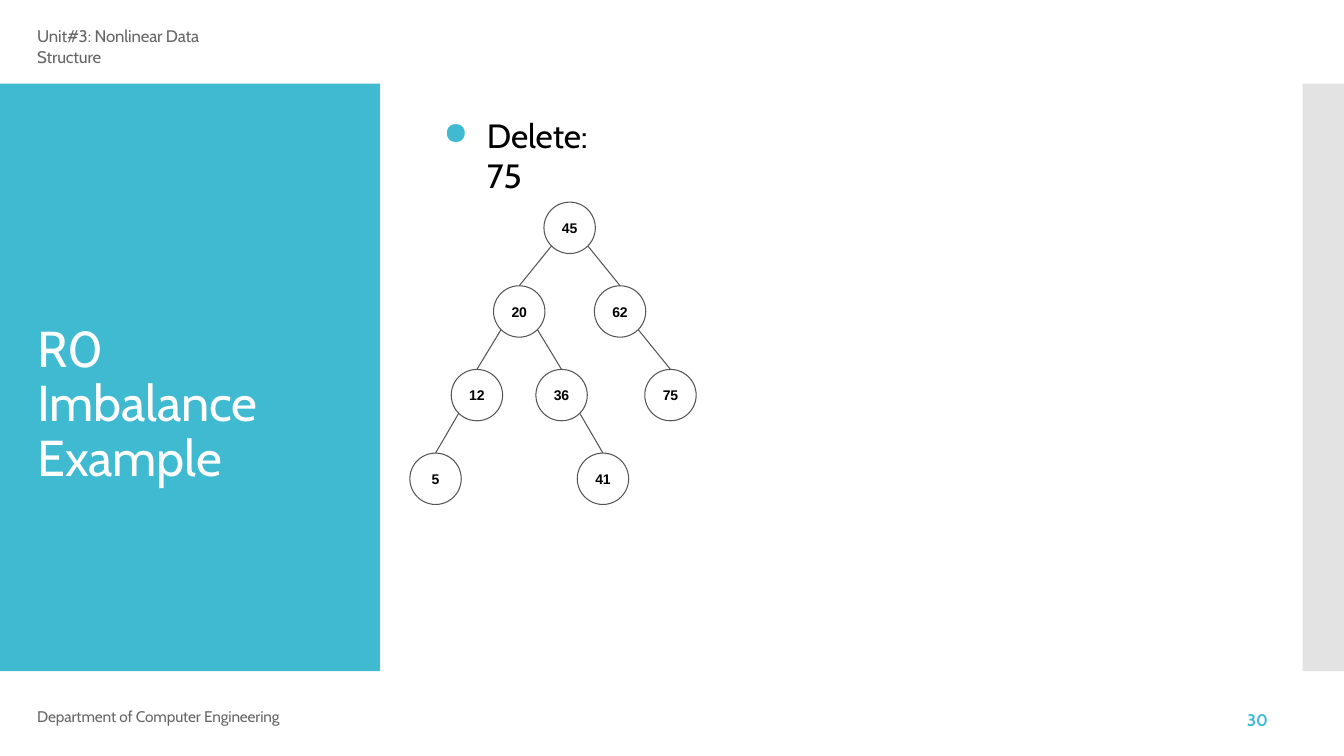
import pptx
import pptx.dml.color
import pptx.enum.shapes
import pptx.enum.text
import pptx.oxml.ns
import pptx.util
from lxml import etree

Inches = pptx.util.Inches
Pt = pptx.util.Pt
MSO_SHAPE = pptx.enum.shapes.MSO_SHAPE


def color(hex_string):
    return pptx.dml.color.RGBColor.from_string(hex_string)


def add_element(parent, tag, **attributes):
    element = etree.SubElement(parent, pptx.oxml.ns.qn(tag))
    for name, value in attributes.items():
        element.set(name, value)
    return element


def set_attributes(target, values):
    for name, value in values.items():
        setattr(target, name, value)


class SlideBuilder:
    teal, gray, ink = "40BAD1", "666666", "545454"
    body_font, node_font = "Cabin", "Arial"
    node_size, edge_offset = 0.51, 0.18

    def __init__(self, slide):
        self.slide = slide

    def panel(self, left, top, width, height, fill, opacity=None):
        shape = self.slide.shapes.add_shape(
            MSO_SHAPE.RECTANGLE, Inches(left), Inches(top), Inches(width), Inches(height))
        shape.shadow.inherit = False
        shape.fill.solid()
        shape.fill.fore_color.rgb = color(fill)
        shape.line.fill.background()
        if opacity is not None:
            fill_color = shape._element.spPr.find(".//" + pptx.oxml.ns.qn("a:srgbClr"))
            add_element(fill_color, "a:alpha", val=str(opacity * 1000))

    def add_text_run(self, paragraph, text, size, fill, font=body_font, bold=False,
                     spacing=-0.1):
        run = paragraph.add_run()
        run.text = text
        set_attributes(run.font, {"name": font, "size": Pt(size), "bold": bold})
        run.font.color.rgb = color(fill)
        run._r.get_or_add_rPr().set("spc", str(round(spacing * 100)))

    def text(self, left, top, width, height, text, size, fill,
             inset=0, indent=0.01, line=None, bullet=False, **style):
        box = self.slide.shapes.add_textbox(
            Inches(left), Inches(top), Inches(width), Inches(height))
        set_attributes(box.text_frame, {
            "word_wrap": True, "margin_left": 0, "margin_right": 0,
            "margin_top": Inches(inset), "margin_bottom": 0})
        paragraph = box.text_frame.paragraphs[0]
        if line:
            paragraph.line_spacing = Pt(line)
        properties = paragraph._p.get_or_add_pPr()
        properties.set("marL", str(Inches(indent)))
        if bullet:
            properties.set("indent", str(Inches(-0.43)))
            add_element(add_element(properties, "a:buClr"), "a:srgbClr", val=self.teal)
            add_element(properties, "a:buSzPct", val="92000")
            add_element(properties, "a:buChar", char="●")
            tabs = add_element(properties, "a:tabLst")
            add_element(tabs, "a:tab", pos=str(Inches(indent)), algn="l")
        self.add_text_run(paragraph, text, size, fill, **style)

    def node(self, value, x, y):
        size = self.node_size
        shape = self.slide.shapes.add_shape(
            MSO_SHAPE.OVAL, Inches(x - size / 2), Inches(y - size / 2),
            Inches(size), Inches(size))
        shape.shadow.inherit = False
        shape.fill.background()
        shape.line.color.rgb = color(self.ink)
        shape.line.width = Pt(0.75)
        set_attributes(shape.text_frame, {
            "word_wrap": False, "margin_left": 0, "margin_right": 0,
            "margin_top": 0, "margin_bottom": 0,
            "vertical_anchor": pptx.enum.text.MSO_ANCHOR.MIDDLE})
        paragraph = shape.text_frame.paragraphs[0]
        paragraph.alignment = pptx.enum.text.PP_ALIGN.CENTER
        self.add_text_run(paragraph, str(value), 10, "000000",
                          font=self.node_font, bold=True)

    def edge(self, parent, child):
        (parent_x, parent_y), (child_x, child_y) = parent, child
        side = self.edge_offset if child_x > parent_x else -self.edge_offset
        connector = self.slide.shapes.add_connector(
            pptx.enum.shapes.MSO_CONNECTOR.STRAIGHT,
            Inches(parent_x + side), Inches(parent_y + self.edge_offset),
            Inches(child_x), Inches(child_y - self.node_size / 2))
        connector.line.color.rgb = color(self.ink)
        connector.line.width = Pt(0.75)
        add_element(connector._element.spPr, "a:effectLst")


def main():
    presentation = pptx.Presentation()
    presentation.slide_width = Inches(13.33)
    presentation.slide_height = Inches(7.5)
    builder = SlideBuilder(presentation.slides.add_slide(presentation.slide_layouts[6]))

    # Side panels
    builder.panel(0, 0.83, 3.77, 5.83, builder.teal)
    builder.panel(12.92, 0.83, 0.41, 5.83, "C8C8C8", opacity=50)

    # Header, title and task
    builder.text(0.36, 0.25, 2.2, 0.42, "Unit#3: Nonlinear Data Structure", 12,
                 builder.gray, inset=0.01)
    builder.text(0.36, 3.12, 2.82, 1.71, "R0 Imbalance Example", 36, "FFFFFF",
                 inset=0.08, line=39)
    builder.text(4.38, 1.13, 1.82, 0.82, "Delete: 75", 24, "000000",
                 inset=0.01, indent=0.45, bullet=True)

    # Search tree: value -> (center x, level, parent)
    tree = {
        45: (5.65, 0, None),
        20: (5.15, 1, 45), 62: (6.15, 1, 45),
        12: (4.73, 2, 20), 36: (5.57, 2, 20), 75: (6.65, 2, 62),
        5: (4.32, 3, 12), 41: (5.98, 3, 36),
    }
    root_y, level_gap = 2.26, 0.83
    centers = {value: (x, root_y + level * level_gap)
               for value, (x, level, _) in tree.items()}
    for value, (_, _, parent) in tree.items():
        builder.node(value, *centers[value])
        if parent is not None:
            builder.edge(centers[parent], centers[value])

    # Footer
    builder.text(0.36, 7.04, 2.6, 0.18, "Department of Computer Engineering", 11,
                 builder.gray, line=11.4)
    builder.text(12.32, 7.07, 0.3, 0.19, "30", 12, builder.teal,
                 indent=0.05, line=12.3, bold=True, spacing=0)

    presentation.save("out.pptx")


if __name__ == "__main__":
    main()
